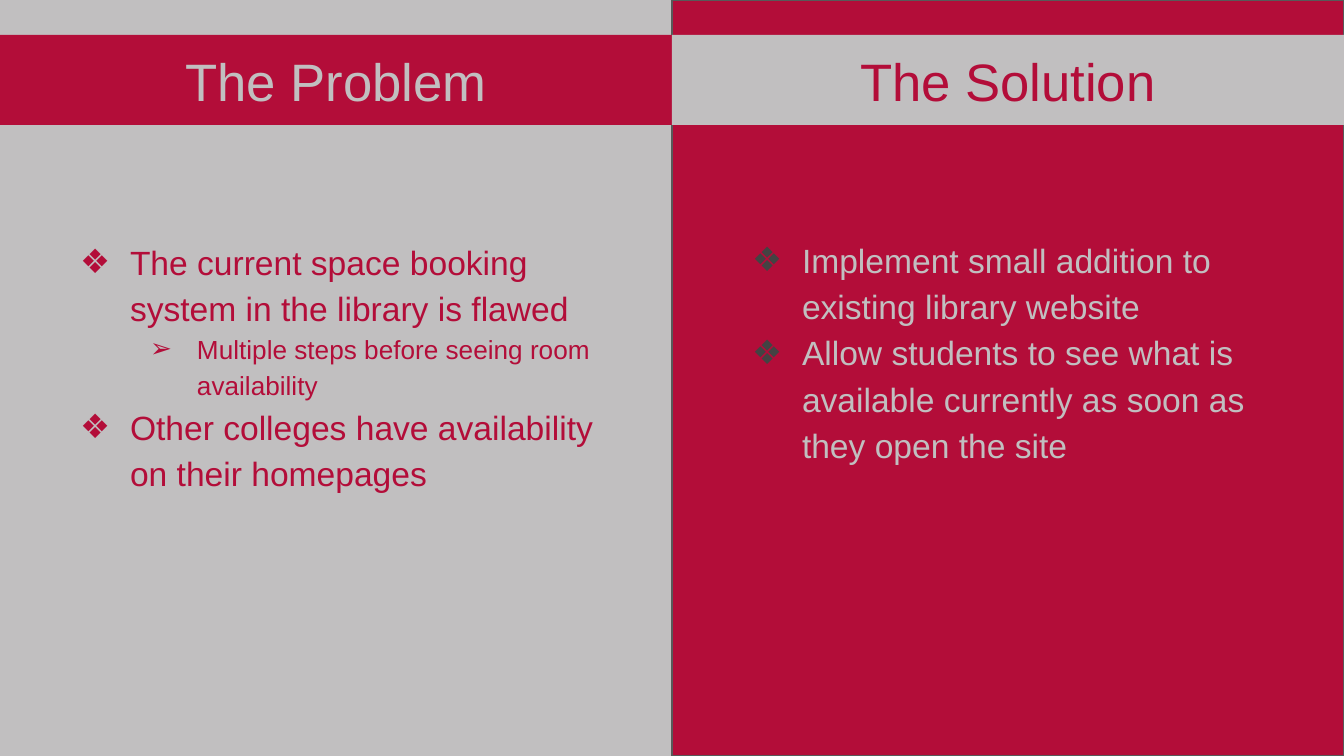
from dataclasses import dataclass

from lxml.etree import SubElement
from pptx import Presentation
from pptx.dml.color import RGBColor
from pptx.enum.shapes import MSO_SHAPE
from pptx.enum.text import MSO_ANCHOR, PP_ALIGN
from pptx.oxml.ns import qn
from pptx.util import Emu, Pt

PIXEL = 914400 / 134.4
PAGE_WIDTH, PAGE_HEIGHT = 1344, 756
HALF = PAGE_WIDTH // 2


def px(length):
    """Turn picture pixels into EMU."""
    return Emu(round(length * PIXEL))


@dataclass(frozen=True)
class Theme:
    """Colours, font and type sizes."""
    gray: str = "C1BFC0"
    red: str = "B30D39"
    outline: str = "595959"
    dark: str = "434343"
    font: str = "Arial"
    title_size: float = 28.2
    body_sizes: tuple = (18, 14)
    bullets: tuple = ("❖", "➢")
    indents: tuple = ((67, -50), (134, -47))


class SlideBuilder:
    """Draws styled elements on the current slide."""

    def __init__(self, page, theme):
        """Keep the slide and its style."""
        self.page, self.theme = page, theme

    def background(self, color):
        """Fill the slide background."""
        fill = self.page.background.fill
        fill.solid()
        fill.fore_color.rgb = RGBColor.from_string(color)

    def panel(self, left, top, width, height, color, outline=None):
        """Add a filled rectangle."""
        panel = self.page.shapes.add_shape(
            MSO_SHAPE.RECTANGLE, px(left), px(top), px(width), px(height))
        panel.shadow.inherit = False
        panel.fill.solid()
        panel.fill.fore_color.rgb = RGBColor.from_string(color)
        if outline:
            panel.line.color.rgb = RGBColor.from_string(outline)
            panel.line.width = Pt(0.75)
        else:
            panel.line.fill.background()
        return panel

    def style(self, paragraph, size, color):
        """Format every run of a paragraph."""
        for span in paragraph.runs:
            span.font.name = self.theme.font
            span.font.size = Pt(size)
            span.font.color.rgb = RGBColor.from_string(color)

    def frame(self, box, anchor, bottom=13):
        """Set wrapping, anchor and insets of a text frame."""
        frame = box.text_frame
        frame.word_wrap = True
        frame.vertical_anchor = anchor
        frame.margin_left = frame.margin_right = frame.margin_top = px(13)
        frame.margin_bottom = px(bottom)
        return frame

    def title(self, left, text, fill, color):
        """Add a heading band across half the slide."""
        band = self.panel(left, 35, HALF, 90, fill)
        frame = self.frame(band, MSO_ANCHOR.BOTTOM)
        frame.text = text
        paragraph = frame.paragraphs[0]
        paragraph.alignment = PP_ALIGN.CENTER
        self.style(paragraph, self.theme.title_size, color)

    def bullet(self, paragraph, level, color):
        """Give a paragraph its indent and bullet sign."""
        properties = paragraph._p.get_or_add_pPr()
        margin, indent = self.theme.indents[level]
        properties.set("marL", str(px(margin)))
        properties.set("indent", str(px(indent)))
        bullet_color = SubElement(properties, qn("a:buClr"))
        SubElement(bullet_color, qn("a:srgbClr"), val=color)
        SubElement(properties, qn("a:buFont"), typeface=self.theme.font)
        SubElement(properties, qn("a:buChar"), char=self.theme.bullets[level])

    def bullet_list(self, left, height, items, color, bullet_color, bottom=13):
        """Add a bulleted list of (level, text) items."""
        box = self.page.shapes.add_textbox(
            px(left), px(148), px(573), px(height))
        frame = self.frame(box, MSO_ANCHOR.MIDDLE, bottom)
        frame.text = "\n".join(text for _, text in items)
        for paragraph, (level, _) in zip(frame.paragraphs, items):
            paragraph.level = level
            paragraph.line_spacing = 1.15
            self.bullet(paragraph, level, bullet_color)
            self.style(paragraph, self.theme.body_sizes[level], color)


def main():
    """Build the slide and save it."""
    deck = Presentation()
    deck.slide_width, deck.slide_height = px(PAGE_WIDTH), px(PAGE_HEIGHT)
    theme = Theme()
    builder = SlideBuilder(deck.slides.add_slide(deck.slide_layouts[6]), theme)

    builder.background(theme.gray)
    builder.panel(HALF, 0, HALF, PAGE_HEIGHT, theme.red, theme.outline)
    builder.title(0, "The Problem", theme.red, theme.gray)
    builder.title(HALF, "The Solution", theme.gray, theme.red)

    problems = [
        (0, "The current space booking system in the library is flawed"),
        (1, "Multiple steps before seeing room availability"),
        (0, "Other colleges have availability on their homepages"),
    ]
    solutions = [
        (0, "Implement small addition to existing library website"),
        (0, "Allow students to see what is available currently as soon as "
            "they open the site"),
    ]
    builder.bullet_list(50, 503, problems, theme.red, theme.red, bottom=83)
    builder.bullet_list(HALF + 50, 403, solutions, theme.gray, theme.dark)

    deck.save("out.pptx")


main()
